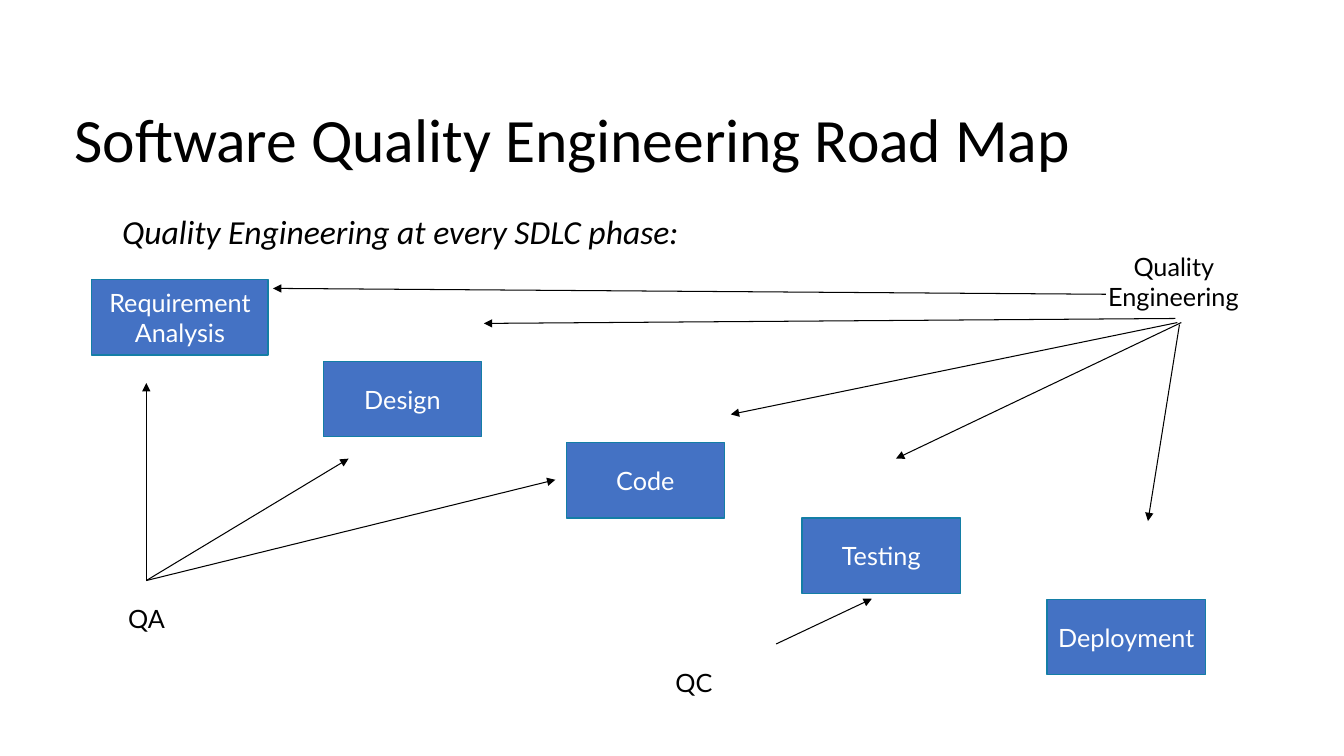
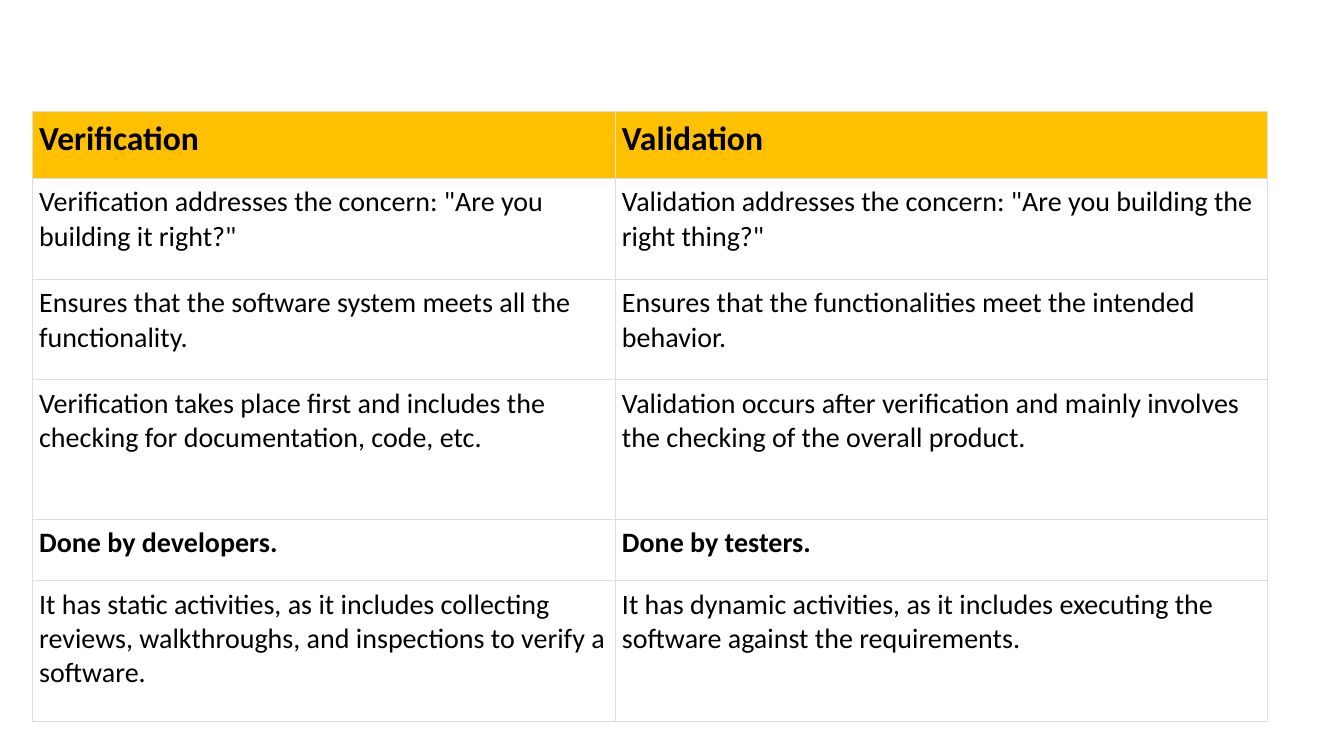
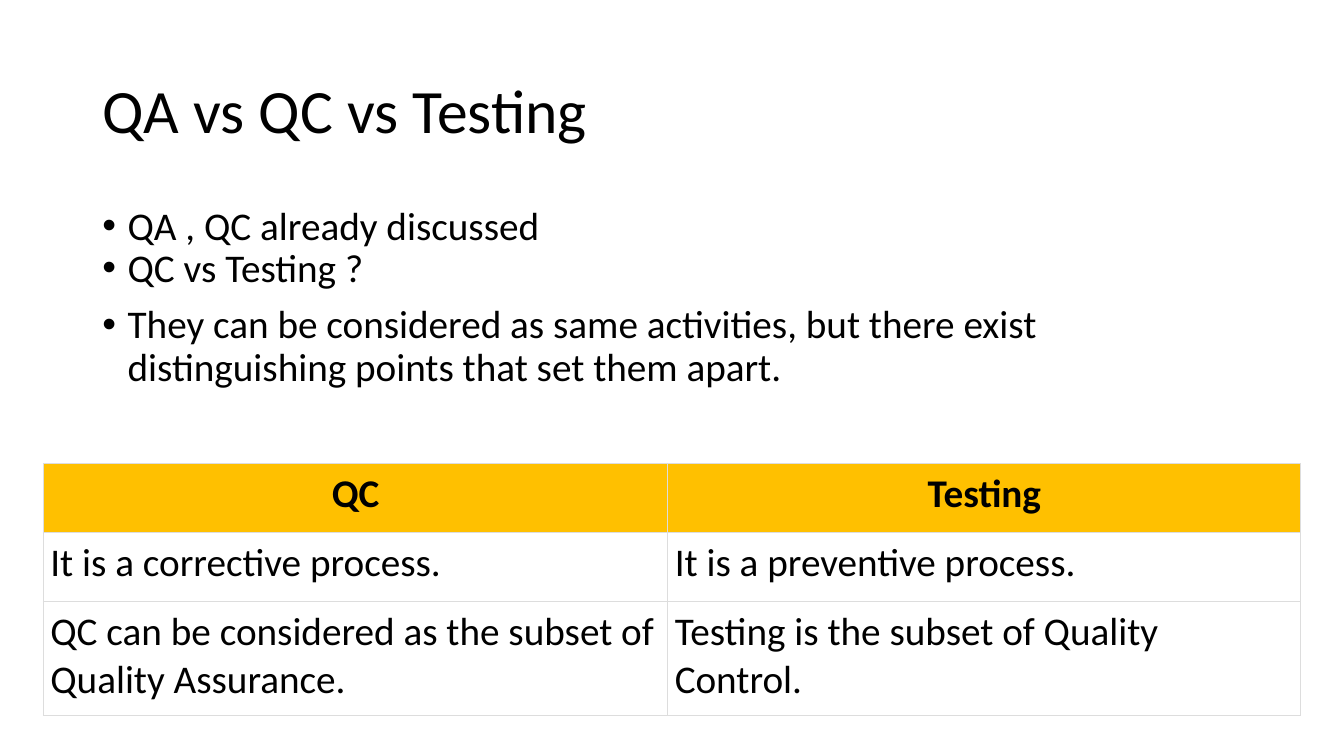
"""Build three slides on software quality engineering."""
from lxml import etree
from pptx import Presentation
from pptx.dml.color import RGBColor
from pptx.enum.shapes import MSO_CONNECTOR, MSO_SHAPE
from pptx.enum.text import MSO_ANCHOR, MSO_AUTO_SIZE, PP_ALIGN
from pptx.oxml.ns import qn
from pptx.util import Pt

LEFT, CENTER = PP_ALIGN.LEFT, PP_ALIGN.CENTER
TOP, MIDDLE = MSO_ANCHOR.TOP, MSO_ANCHOR.MIDDLE
NO_AUTOFIT = MSO_AUTO_SIZE.NONE
RECTANGLE = MSO_SHAPE.RECTANGLE
STRAIGHT = MSO_CONNECTOR.STRAIGHT

TITLE_AND_CONTENT, BLANK = 1, 6
COLORS = {
    "text": "000000",
    "paper": "FFFFFF",
    "phase": "4472C4",
    "phase_line": "147EA6",
    "header": "FFC000",
    "grid": "DDDDDD",
}
TITLE_FONT = {"name": "Calibri", "size": Pt(44)}
BODY_FONT = {"name": "Calibri", "size": Pt(28)}
SUBTITLE_FONT = {"name": "Calibri", "size": Pt(24), "italic": True}
BOX_FONT = {"name": "Lato", "size": Pt(18)}
FRAME = {"word_wrap": True, "auto_size": NO_AUTOFIT,
         "margin_left": Pt(7.2), "margin_right": Pt(7.2),
         "margin_top": Pt(3.6), "margin_bottom": Pt(3.6)}
CELL = {"vertical_anchor": TOP, "margin_left": Pt(5), "margin_right": Pt(5),
        "margin_top": Pt(5), "margin_bottom": Pt(5)}
TIGHT = {"alignment": LEFT, "line_spacing": 0.9, "space_before": Pt(0)}

PHASE_HEIGHT = 54
PHASES = [
    ("Requirement Analysis", 65.5, 199.5, 126),
    ("Design", 231, 258, 113),
    ("Code", 404.5, 316, 113),
    ("Testing", 573, 370, 113),
    ("Deployment", 748, 428, 113),
]
ROLE_HEIGHT = 54.7
ROLES = [
    ("QA", 46, 414.7, 117.4),
    ("Quality Engineering", 772, 173.5, 132.5),
    ("QC", 437, 460, 117.4),
]
QA_START = (104.5, 414.7)
ARROWS = [
    (QA_START, (249, 327.6)),
    (QA_START, (104.5, 273.6)),
    (QA_START, (396.7, 342.7)),
    ((842.5, 231.8), (820, 372.2)),
    ((843.8, 230.4), (640, 327.6)),
    ((841, 230.4), (522, 296)),
    ((839.5, 227.5), (345.6, 231)),
    ((790, 210.2), (195, 206)),
    ((554.4, 460), (622.8, 427.7)),
]

CHECKS = [
    ("Verification", "Validation"),
    ('Verification addresses the concern: "Are you building it right?"',
     'Validation addresses the concern: "Are you building the right thing?"'),
    ("Ensures that the software system meets all the functionality.",
     "Ensures that the functionalities meet the intended behavior."),
    ("Verification takes place first and includes the checking for "
     "documentation, code, etc.",
     "Validation occurs after verification and mainly involves the checking "
     "of the overall product."),
    ("Done by developers.", "Done by testers."),
    ("It has static activities, as it includes collecting reviews, "
     "walkthroughs, and inspections to verify a software.",
     "It has dynamic activities, as it includes executing the software "
     "against the requirements."),
]
POINTS = [
    ("QA , QC already discussed", 0),
    ("QC vs Testing ?", 0),
    ("They can be considered as same activities, but there exist "
     "distinguishing points that set them apart.", 10),
]
PROCESSES = [
    ("QC", "Testing"),
    ("It is a corrective process.", "It is a preventive process."),
    ("QC can be considered as the subset of Quality Assurance.",
     "Testing is the subset of Quality Control."),
]


def rgb(color):
    """Return the named palette colour."""
    return RGBColor.from_string(COLORS[color])


def apply(target, values):
    """Set every attribute in values on target."""
    for name, value in values.items():
        setattr(target, name, value)


def write(paragraph, text, font, color="text", **layout):
    """Write one formatted run into a paragraph."""
    apply(paragraph, layout)
    run = paragraph.add_run()
    run.text = text
    apply(run.font, font)
    run.font.color.rgb = rgb(color)


def place(placeholder, bounds, anchor):
    """Move a placeholder and return its prepared text frame."""
    apply(placeholder, dict(zip(("left", "top", "width", "height"), map(Pt, bounds))))
    apply(placeholder.text_frame, {**FRAME, "vertical_anchor": anchor})
    return placeholder.text_frame


def add_title(slide, text, bounds):
    """Fill the title placeholder."""
    frame = place(slide.shapes.title, bounds, MIDDLE)
    write(frame.paragraphs[0], text, TITLE_FONT, **TIGHT)


def add_body(slide, points, bounds, font, bullet=None):
    """Fill the body placeholder with indented points."""
    frame = place(slide.placeholders[1], bounds, TOP)
    for index, (text, gap) in enumerate(points):
        paragraph = frame.add_paragraph() if index else frame.paragraphs[0]
        properties = paragraph._p.get_or_add_pPr()
        properties.set("marL", str(Pt(18)))
        properties.set("indent", str(Pt(-18) if bullet else 0))
        if bullet:
            etree.SubElement(properties, qn("a:buChar")).set("char", bullet)
        else:
            etree.SubElement(properties, qn("a:buNone"))
        write(paragraph, text, font, **{**TIGHT, "space_before": Pt(gap)})


def add_box(slide, text, bounds, fill, color, outline=None):
    """Add a rectangle with centred text."""
    box = slide.shapes.add_shape(RECTANGLE, *map(Pt, bounds))
    box.shadow.inherit = False
    box.fill.solid()
    box.fill.fore_color.rgb = rgb(fill)
    if outline:
        box.line.color.rgb = rgb(outline)
        box.line.width = Pt(1)
    else:
        box.line.fill.background()
    apply(box.text_frame, {**FRAME, "vertical_anchor": MIDDLE})
    write(box.text_frame.paragraphs[0], text, BOX_FONT, color, alignment=CENTER)


def add_arrow(slide, start, end):
    """Add a thin line with a triangle at its end."""
    arrow = slide.shapes.add_connector(STRAIGHT, *map(Pt, start + end))
    arrow.line.color.rgb = rgb("text")
    arrow.line.width = Pt(0.75)
    outline = arrow.line._get_or_add_ln()
    etree.SubElement(outline, qn("a:tailEnd")).set("type", "triangle")
    etree.SubElement(arrow._element.spPr, qn("a:effectLst"))


def add_borders(cell):
    """Draw a thin grid line on each side of a cell."""
    properties = cell._tc.get_or_add_tcPr()
    for side in ("lnL", "lnR", "lnT", "lnB"):
        line = etree.SubElement(properties, qn(f"a:{side}"))
        line.set("w", str(Pt(0.75)))
        fill = etree.SubElement(line, qn("a:solidFill"))
        etree.SubElement(fill, qn("a:srgbClr")).set("val", COLORS["grid"])


def add_grid(slide, rows, origin, widths, heights, header_size, size,
             header_align=LEFT, bold_rows=(0,)):
    """Add a table with a coloured header row."""
    bounds = (*origin, sum(widths), sum(heights))
    frame = slide.shapes.add_table(len(rows), len(widths), *map(Pt, bounds))
    table = frame.table
    apply(table, {"first_row": False, "horz_banding": False})
    for column, width in zip(table.columns, widths):
        column.width = Pt(width)
    for index, (texts, height) in enumerate(zip(rows, heights)):
        table.rows[index].height = Pt(height)
        is_header = index == 0
        font = {"name": "Calibri", "size": Pt(header_size if is_header else size),
                "bold": index in bold_rows}
        for position, text in enumerate(texts):
            cell = table.cell(index, position)
            apply(cell, CELL)
            add_borders(cell)
            if is_header:
                cell.fill.solid()
                cell.fill.fore_color.rgb = rgb("header")
            else:
                cell.fill.background()
            write(cell.text_frame.paragraphs[0], text, font,
                  alignment=header_align if is_header else LEFT)


def add_road_map(slide):
    """Show who works on which phase."""
    add_title(slide, "Software Quality Engineering Road Map", (46, 62, 868, 80))
    add_body(slide, [("Quality Engineering at every SDLC phase:", 0)],
             (62, 150.5, 867.6, 340.6), SUBTITLE_FONT)
    for name, left, top, width in PHASES:
        add_box(slide, name, (left, top, width, PHASE_HEIGHT),
                "phase", "paper", "phase_line")
    for name, left, top, width in ROLES:
        add_box(slide, name, (left, top, width, ROLE_HEIGHT), "paper", "text")
    for start, end in ARROWS:
        add_arrow(slide, start, end)


def add_checks(slide):
    """Compare verification with validation."""
    add_grid(slide, CHECKS, (23, 79.5), (416.3, 466),
             (47.8, 72, 72, 99.5, 44, 100.6), 24, 20, bold_rows=(0, 4))


def add_comparison(slide):
    """Compare quality control with testing."""
    add_title(slide, "QA vs QC vs Testing", (66, 28.75, 828, 104.4))
    add_body(slide, POINTS, (66, 143.75, 828, 342.6), BODY_FONT, "•")
    add_grid(slide, PROCESSES, (31, 331), (446, 452.2), (49.4, 49.4, 81.4),
             28, 28, CENTER)


def main():
    """Build and save the presentation."""
    deck = Presentation()
    apply(deck, {"slide_width": Pt(960), "slide_height": Pt(540)})
    for layout, fill_slide in ((TITLE_AND_CONTENT, add_road_map),
                               (BLANK, add_checks),
                               (TITLE_AND_CONTENT, add_comparison)):
        fill_slide(deck.slides.add_slide(deck.slide_layouts[layout]))
    deck.save("out.pptx")


if __name__ == "__main__":
    main()
